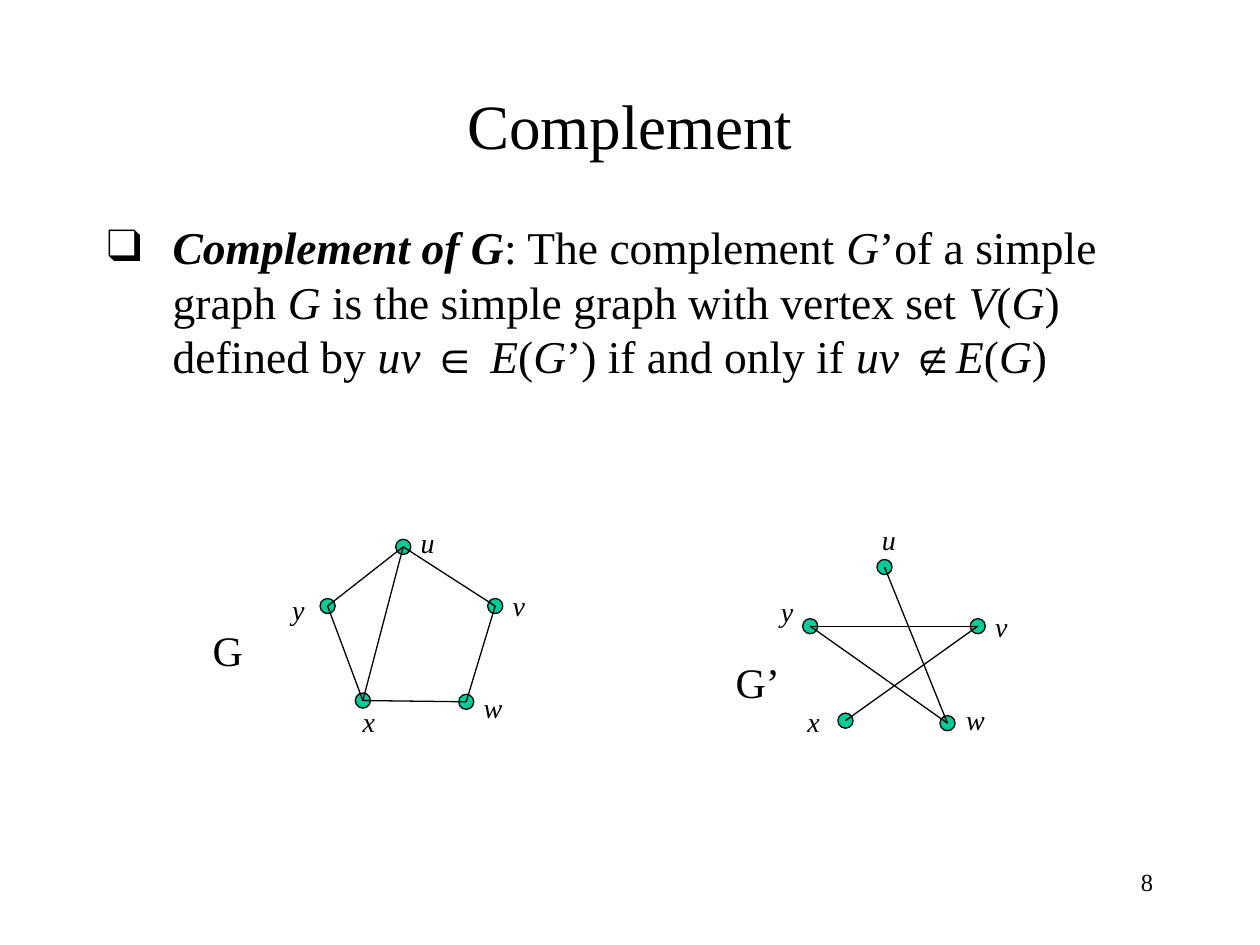
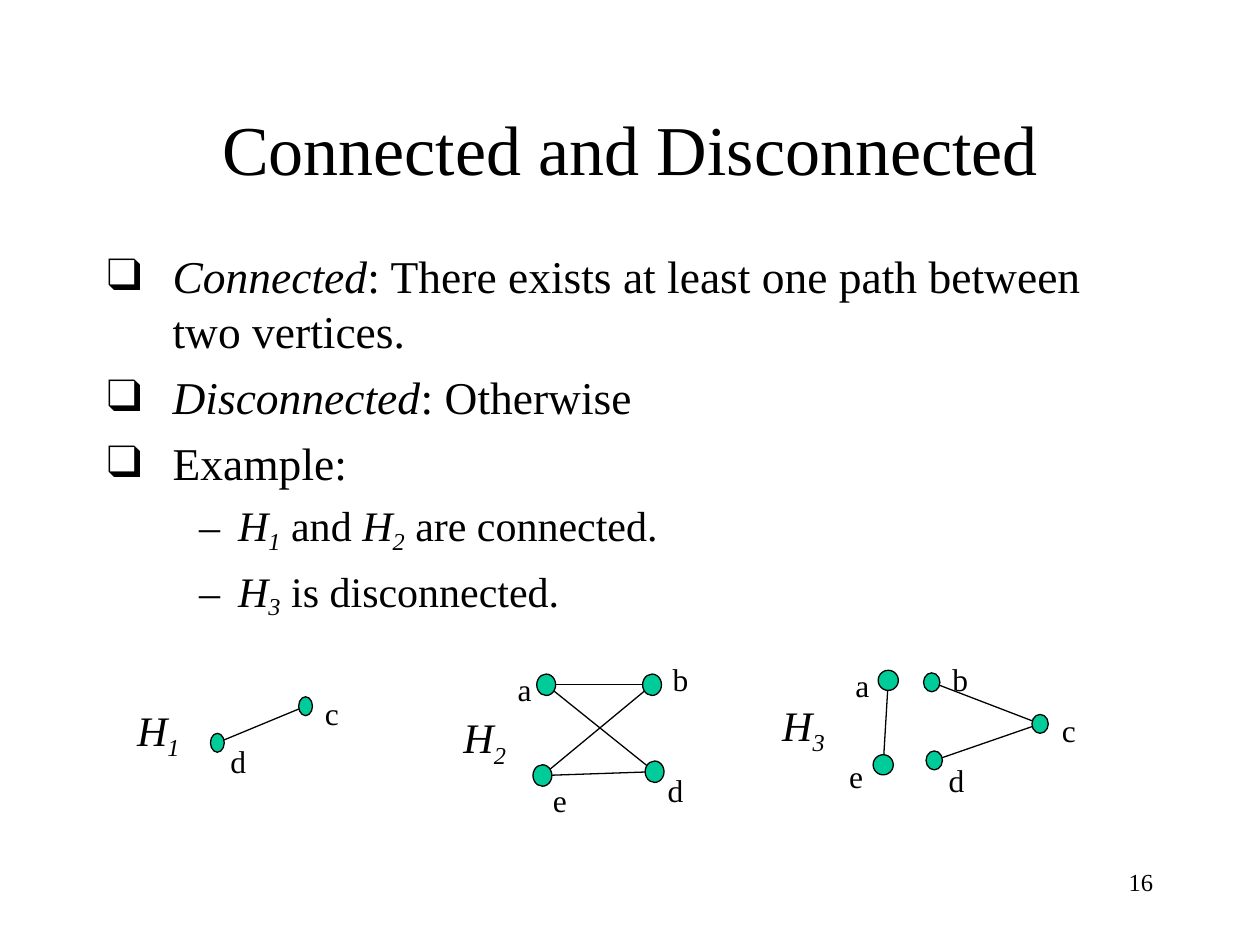
import math

from pptx import Presentation
from pptx import util as u
from pptx.dml.color import RGBColor
from pptx.enum import shapes, text
from pptx.oxml.ns import qn
from lxml import etree

PX = 9144  # EMU per px, 100 px to the inch
FONT, SYMBOL_FONT = "Times New Roman", "Arial"
BLACK, GREEN = "000000", "00CC99"
BASELINES = {"s": "-20000", "d": "-25000"}
# bullet, text size, left indent, first-line indent, space before
LEVELS = [("❑", 26, 52, -52, 6.5), ("–", 24, 104, -31, 6)]


def px(*lengths):
    return [u.Emu(round(n * PX)) for n in lengths]


def color(value):
    return RGBColor.from_string(value)


class Deck:
    def __init__(self):
        self.prs = Presentation()
        self.prs.slide_width, self.prs.slide_height = px(1000, 750)
        self.s = None

    def slide(self, title, title_box, title_size, number):
        self.s = self.prs.slides.add_slide(self.prs.slide_layouts[1])
        sp = self.s.shapes.title
        self.place(sp, title_box)
        tf = sp.text_frame
        tf.vertical_anchor = text.MSO_ANCHOR.MIDDLE
        p = tf.paragraphs[0]
        p.alignment = text.PP_ALIGN.CENTER
        self.runs(p, [(title, "")], title_size)
        self.text_box((717, 683, 208, 50), [(number, "")], 14, text.PP_ALIGN.RIGHT)

    def place(self, sp, box):
        sp.left, sp.top, sp.width, sp.height = px(*box)
        sp.text_frame.word_wrap = True
        sp.text_frame.auto_size = text.MSO_AUTO_SIZE.NONE

    def runs(self, p, parts, size):
        """Add (text, style) parts; style letters: b bold, i italic, a symbol font, s and d subscript."""
        for words, style in parts:
            r = p.add_run()
            r.text = words
            r.font.size = u.Pt(size)
            r.font.name = SYMBOL_FONT if "a" in style else FONT
            r.font.bold, r.font.italic = "b" in style, "i" in style
            r.font.color.rgb = color(BLACK)
            for letter in style:
                if letter in BASELINES:
                    r._r.get_or_add_rPr().set("baseline", BASELINES[letter])

    def text_box(self, box, parts, size, align=text.PP_ALIGN.LEFT):
        sp = self.s.shapes.add_textbox(*px(*box))
        self.place(sp, box)
        p = sp.text_frame.paragraphs[0]
        p.alignment = align
        self.runs(p, parts, size)

    def bullets(self, box, items):
        """Fill the body placeholder with (level, parts) items."""
        sp = self.s.placeholders[1]
        self.place(sp, box)
        tf = sp.text_frame
        for i, (level, parts) in enumerate(items):
            p = tf.add_paragraph() if i else tf.paragraphs[0]
            char, size, left, indent, before = LEVELS[level]
            p.level = level
            p.space_before = u.Pt(before if i else 0)
            pPr = p._p.get_or_add_pPr()
            pPr.set("marL", str(left * PX))
            pPr.set("indent", str(indent * PX))
            clr = etree.SubElement(pPr, qn("a:buClr"))
            etree.SubElement(clr, qn("a:srgbClr"), val=BLACK)
            etree.SubElement(pPr, qn("a:buFont"), typeface=FONT)
            etree.SubElement(pPr, qn("a:buChar"), char=char)
            self.runs(p, parts, size)

    def vertex(self, x, y, w, h):
        sp = self.s.shapes.add_shape(shapes.MSO_SHAPE.OVAL, *px(x, y, w, h))
        sp.shadow.inherit = False
        sp.fill.solid()
        sp.fill.fore_color.rgb = color(GREEN)
        sp.line.color.rgb = color(BLACK)
        sp.line.width = u.Pt(0.75)

    def edge(self, *ends):
        c = self.s.shapes.add_connector(shapes.MSO_CONNECTOR.STRAIGHT, *px(*ends))
        c.line.color.rgb = color(BLACK)
        c.line.width = u.Pt(0.75)
        etree.SubElement(c._element.spPr, qn("a:effectLst"))

    def graph(self, vertices, edges, size, label_size, style="", trim=True):
        """Draw vertices {name: (x, y, label x, label y)} and edges given as pairs of names.

        Trimmed edges stop at the rim of a vertex, others at its centre.
        """
        w, h = size
        for x, y, _, _ in vertices.values():
            self.vertex(x, y, w, h)
        for a, b in edges:
            (ax, ay), (bx, by) = [(vertices[n][0] + w / 2, vertices[n][1] + h / 2) for n in (a, b)]
            dx, dy = bx - ax, by - ay
            t = 1 / math.hypot(2 * dx / w, 2 * dy / h) if trim else 0
            self.edge(ax + t * dx, ay + t * dy, bx - t * dx, by - t * dy)
        for name, (_, _, x, y) in vertices.items():
            self.text_box((x, y, 40, 40), [(name, style)], label_size)


def complement_slide(deck):
    deck.slide("Complement", (75, 58, 850, 81), 36, "8")
    deck.bullets((75, 169, 850, 497), [(0, [
        ("Complement of G", "bi"), (": The complement ", ""), ("G", "i"),
        ("’of a simple graph ", ""), ("G", "i"),
        (" is the simple graph with vertex set ", ""), ("V", "i"), ("(", ""), ("G", "i"),
        (") defined by ", ""), ("uv ", "i"), ("∈ ", "a"), ("E", "i"), ("(", ""), ("G", "i"),
        ("’) if and only if ", ""), ("uv ", "i"), ("∉", "a"), ("E", "i"), ("(", ""),
        ("G", "i"), (")", "")])])
    look = dict(size=(12, 12), label_size=16, style="i", trim=False)
    deck.graph({"u": (314, 428, 324, 412), "v": (387, 475, 397, 462),
                "w": (364, 551, 374, 543), "x": (282, 550, 278, 554),
                "y": (254, 475, 222, 465)},
               ["uy", "yx", "xw", "wv", "uv", "ux"], **look)
    deck.text_box((159, 491, 73, 50), [("G", "")], 24)
    deck.graph({"u": (696, 444, 690, 410), "v": (770, 491, 780, 479),
                "w": (746, 568, 757, 553), "x": (665, 566, 631, 554),
                "y": (637, 491, 610, 467)},
               ["yw", "xv", "yv", "uw"], **look)
    deck.text_box((574, 516, 73, 50), [("G’", "")], 24)


def connected_slide(deck):
    deck.slide("Connected and Disconnected", (75, 67, 850, 100), 40, "16")
    deck.bullets((75, 192, 850, 475), [
        (0, [("Connected", "i"),
             (": There exists at least one path between two vertices.", "")]),
        (0, [("Disconnected", "i"), (": Otherwise", "")]),
        (0, [("Example:", "")]),
        (1, [("H", "i"), ("1", "is"), (" and ", ""), ("H", "i"), ("2", "is"),
             (" are connected.", "")]),
        (1, [("H", "i"), ("3", "is"), (" is disconnected.", "")])])
    deck.graph({"d": (167, 582, 173, 584), "c": (237, 553, 248, 546)},
               ["dc"], (11, 15), 18)
    deck.graph({"a": (426, 535, 401, 527), "e": (423, 607, 429, 615),
                "b": (510, 535, 524, 519), "d": (512, 604, 520, 607)},
               ["ed", "ab", "eb", "ad"], (15, 17), 18)
    deck.graph({"a": (697, 532, 669, 524), "e": (693, 599, 664, 596)},
               ["ae"], (16, 16), 18)
    deck.graph({"b": (733, 534, 746, 519), "d": (735, 596, 743, 599),
                "c": (819, 567, 833, 559)},
               ["dc", "bc"], (13, 15), 18)
    for digit, x, y in (("1", 99, 554), ("2", 358, 560), ("3", 611, 550)):
        deck.text_box((x, y, 101, 56), [("H", "i"), (digit, "id")], 24)


def main():
    deck = Deck()
    complement_slide(deck)
    connected_slide(deck)
    deck.prs.save("out.pptx")


if __name__ == "__main__":
    main()
